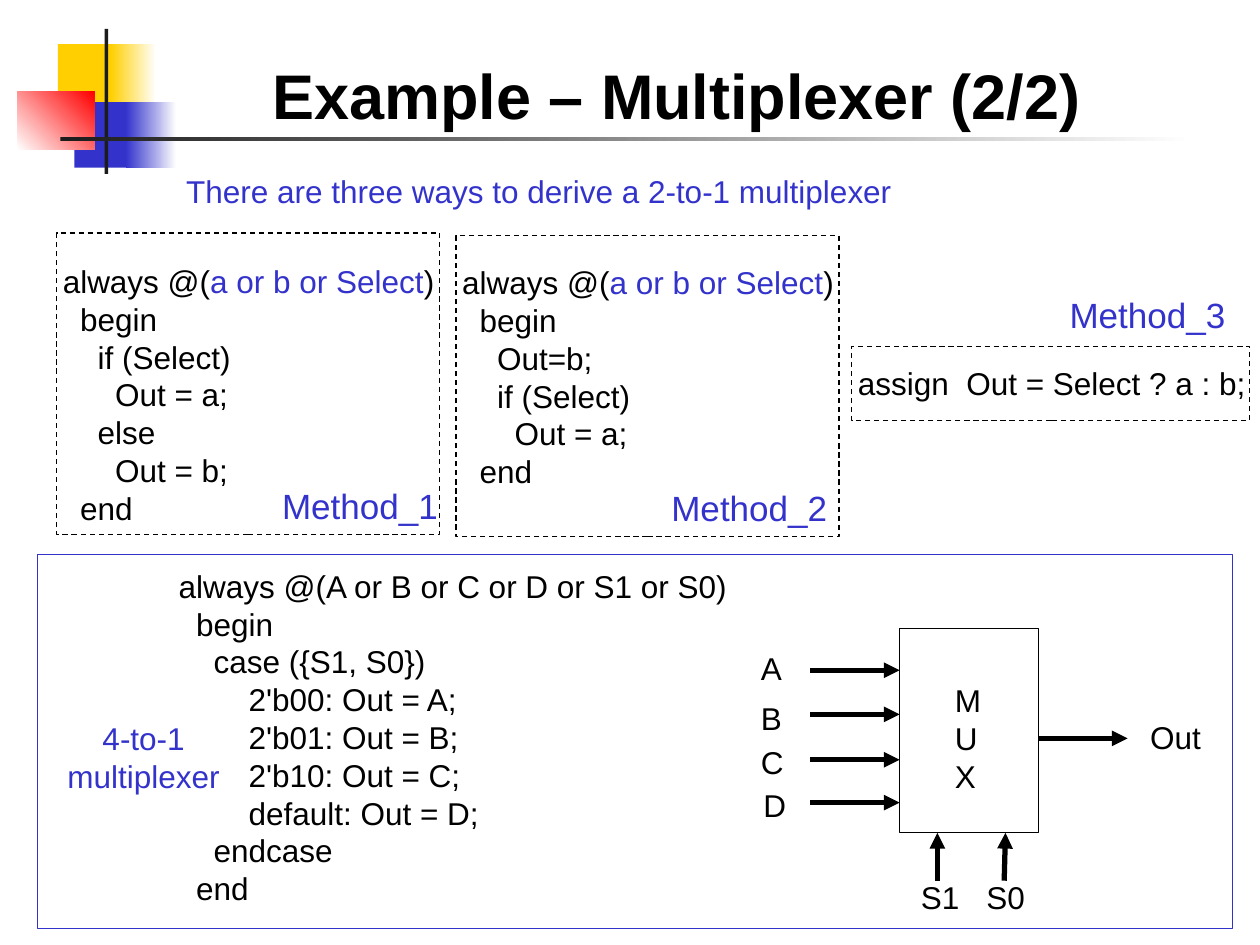
from dataclasses import dataclass

from lxml.etree import SubElement
from pptx import Presentation
from pptx.dml.color import RGBColor
from pptx.enum.dml import MSO_LINE
from pptx.enum.shapes import MSO_CONNECTOR, MSO_SHAPE
from pptx.enum.text import MSO_ANCHOR, MSO_AUTO_SIZE, PP_ALIGN
from pptx.oxml.ns import qn
from pptx.util import Inches, Pt

BLACK = RGBColor(0x00, 0x00, 0x00)
WHITE = RGBColor(0xFF, 0xFF, 0xFF)
BLUE = RGBColor(0x33, 0x33, 0xCC)
YELLOW = RGBColor(0xFF, 0xCF, 0x01)
RED = RGBColor(0xFF, 0x00, 0x00)
CHARCOAL = RGBColor(0x1C, 0x1C, 0x1C)

SENSITIVITY = "a or b or Select"
METHOD_1 = """always @(a or b or Select)
  begin
    if (Select)
      Out = a;
    else
      Out = b;
  end"""
METHOD_2 = """always @(a or b or Select)
  begin
    Out=b;
    if (Select)
      Out = a;
  end"""
METHOD_3 = "assign  Out = Select ? a : b;"
FOUR_TO_ONE = """always @(A or B or C or D or S1 or S0)
  begin
    case ({S1, S0})
        2'b00: Out = A;
        2'b01: Out = B;
        2'b10: Out = C;
        default: Out = D;
    endcase
  end"""


@dataclass
class Box:
    """A rectangle measured in inches."""
    left: float
    top: float
    width: float
    height: float

    def inner(self, left, top, width, height):
        """Return a box offset from this one's corner."""
        return Box(self.left + left, self.top + top, width, height)

    def lengths(self):
        """Return left, top, width and height as lengths."""
        return [Inches(v) for v in (self.left, self.top, self.width, self.height)]


def style_font(font, size, color, bold=False):
    """Give a font the slide's typeface with a size and colour."""
    font.name, font.size, font.bold = "Arial", Pt(size), bold
    font.color.rgb = color


def add_text(page, box, text, color=BLACK, size=18, align=PP_ALIGN.LEFT):
    """Add wrapped text, one paragraph for each line."""
    frame = page.shapes.add_textbox(*box.lengths()).text_frame
    frame.word_wrap = True
    frame.text = text
    for para in frame.paragraphs:
        para.alignment = align
        for span in para.runs:
            style_font(span.font, size, color)
    return frame


def highlight(para, phrase):
    """Show one phrase of a paragraph in blue."""
    pieces = para.text.partition(phrase)
    para.clear()
    for piece in pieces:
        span = para.add_run()
        span.text = piece
        style_font(span.font, 18, BLUE if piece == phrase else BLACK)


def add_frame(page, box, color=BLACK, dashed=False):
    """Add an unfilled outline rectangle."""
    shape = page.shapes.add_shape(MSO_SHAPE.RECTANGLE, *box.lengths())
    shape.shadow.inherit = False
    shape.fill.background()
    shape.line.color.rgb = color
    shape.line.width = Pt(0.75)
    if dashed:
        shape.line.dash_style = MSO_LINE.DASH


def add_block(page, box, start, end=None, angle=0):
    """Add a borderless rectangle, solid or fading from start to end."""
    shape = page.shapes.add_shape(MSO_SHAPE.RECTANGLE, *box.lengths())
    shape.shadow.inherit = False
    shape.line.fill.background()
    if end is None:
        shape.fill.solid()
        shape.fill.fore_color.rgb = start
        return
    shape.fill.gradient()
    shape.fill.gradient_angle = angle
    for stop, color in zip(shape.fill.gradient_stops, (start, end)):
        stop.color.rgb = color


def add_arrow(page, box, start, end):
    """Add a thick arrow between two points offset from the box corner."""
    points = [Inches(v) for x, y in (start, end) for v in (box.left + x, box.top + y)]
    arrow = page.shapes.add_connector(MSO_CONNECTOR.STRAIGHT, *points)
    arrow.line.color.rgb = BLACK
    arrow.line.width = Pt(3)
    SubElement(arrow.line._get_or_add_ln(), qn("a:tailEnd"), type="triangle")
    SubElement(arrow._element.spPr, qn("a:effectLst"))


def add_ornament(page, box):
    """Draw the coloured blocks and rules behind the title."""
    add_block(page, box.inner(0.32, 0.12, 0.48, 0.52), YELLOW)
    add_block(page, box.inner(0.74, 0.12, 0.36, 0.52), YELLOW, WHITE)
    add_block(page, box.inner(0.45, 0.58, 0.46, 0.52), BLUE)
    add_block(page, box.inner(0.86, 0.58, 0.4, 0.52), BLUE, WHITE)
    add_block(page, box.inner(0, 0.5, 0.61, 0.46), WHITE, RED, 45)
    add_block(page, box.inner(0.69, 0, 0.03, box.height), CHARCOAL)
    add_block(page, box.inner(0.34, 0.86, 9, 0.03), CHARCOAL, WHITE)


def set_title(page, box, text):
    """Place and format the title placeholder."""
    title = page.shapes.title
    title.left, title.top, title.width, title.height = box.lengths()
    frame = title.text_frame
    frame.text = text
    frame.auto_size = MSO_AUTO_SIZE.NONE
    frame.vertical_anchor = MSO_ANCHOR.TOP
    para = frame.paragraphs[0]
    para.alignment = PP_ALIGN.LEFT
    style_font(para.runs[0].font, 36, BLACK, bold=True)


def add_method(page, box, name, code, code_top, name_left, name_top):
    """Add a dashed panel with its code and method name."""
    add_frame(page, box, dashed=True)
    frame = add_text(page, box.inner(-0.05, code_top, 3.53, box.height), code)
    if SENSITIVITY in code:
        highlight(frame.paragraphs[0], SENSITIVITY)
    add_text(page, box.inner(name_left, name_top, 1.6, 0.44), name, BLUE, 20)


def add_mux(page, box):
    """Draw the multiplexer block with its inputs, selects and output."""
    add_frame(page, box)
    add_text(page, box.inner(0.34, 0.37, 0.47, 1), "MUX")
    inputs = (("A", -1.2, 0.11, 0.33), ("B", -1.2, 0.51, 0.68),
              ("C", -1.2, 0.86, 1.04), ("D", -1.18, 1.2, 1.38))
    for name, left, top, level in inputs:
        add_text(page, box.inner(left, top, 0.39, 0.4), name)
        add_arrow(page, box, (-0.71, level), (0, level))
    for name, left, foot, head in (("S1", 0.07, 0.3, 0.3), ("S0", 0.59, 0.83, 0.84)):
        add_text(page, box.inner(left, 1.93, 0.52, 0.4), name)
        add_arrow(page, box, (foot, 2), (head, box.height))
    add_arrow(page, box, (box.width, 0.87), (1.81, 0.87))
    add_text(page, box.inner(1.89, 0.66, 0.63, 0.4), "Out")


def add_four_to_one(page, box):
    """Add the panel with the 4-to-1 code, caption and diagram."""
    add_frame(page, box, BLUE)
    add_text(page, box.inner(1.02, 0.05, 5, 2.8), FOUR_TO_ONE)
    add_text(page, box.inner(0.04, 1.26, 1.6, 0.7), "4-to-1\nmultiplexer", BLUE,
             align=PP_ALIGN.CENTER)
    add_mux(page, box.inner(6.84, 0.59, 1.1, 1.62))


def main():
    """Build and save the deck."""
    deck = Presentation()
    deck.slide_width, deck.slide_height = Inches(10), Inches(7.5)
    page = deck.slides.add_slide(deck.slide_layouts[5])
    add_ornament(page, Box(0.14, 0.23, 9.34, 1.15))
    set_title(page, Box(2.06, 0.4, 6.9, 0.7), "Example – Multiplexer (2/2)")
    add_text(page, Box(1.38, 1.32, 6, 0.4),
             "There are three ways to derive a 2-to-1 multiplexer", BLUE)
    add_method(page, Box(0.45, 1.85, 3.04, 2.39), "Method_1", METHOD_1, 0.18, 1.69, 1.95)
    add_method(page, Box(3.62, 1.87, 3.04, 2.39), "Method_2", METHOD_2, 0.17, 1.61, 1.94)
    add_method(page, Box(6.76, 2.75, 3.16, 0.59), "Method_3", METHOD_3, 0.09, 1.63, -0.47)
    add_four_to_one(page, Box(0.3, 4.4, 9.48, 2.97))
    deck.save("out.pptx")


if __name__ == "__main__":
    main()
